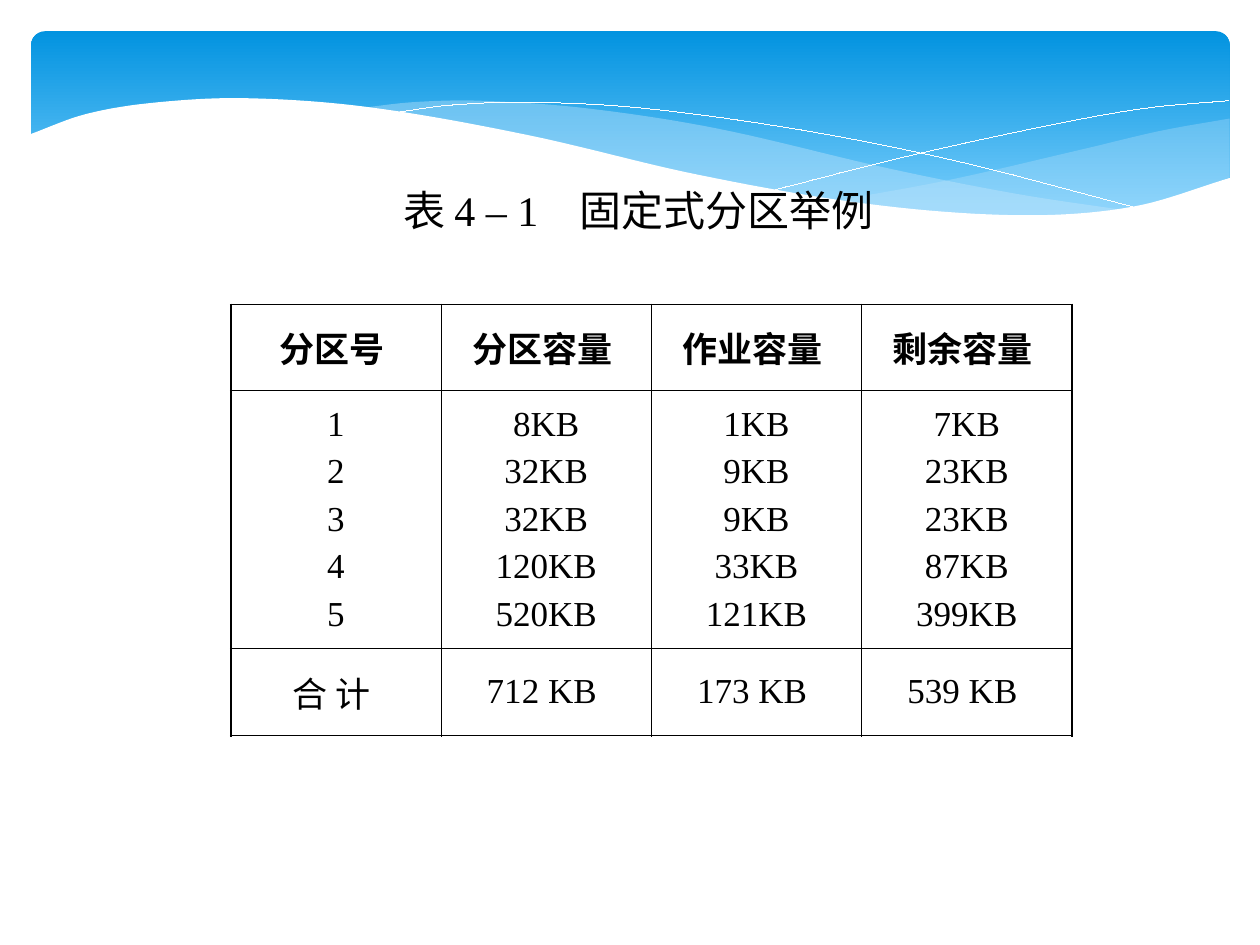
from dataclasses import dataclass

from lxml import etree
from pptx import Presentation
from pptx.dml.color import RGBColor
from pptx.enum.shapes import MSO_SHAPE
from pptx.enum.text import MSO_ANCHOR, MSO_AUTO_SIZE, PP_ALIGN
from pptx.oxml.ns import qn
from pptx.util import Cm, Pt

ROUNDED = MSO_SHAPE.ROUNDED_RECTANGLE
TOP, MIDDLE = MSO_ANCHOR.TOP, MSO_ANCHOR.MIDDLE
GROW = MSO_AUTO_SIZE.SHAPE_TO_FIT_TEXT
LEFT, CENTER = PP_ALIGN.LEFT, PP_ALIGN.CENTER

STEPS_PER_SPAN = 10
WAVE_BASE = 5.69

RIGHT_CREST = [(16.79, 4.06), (19.13, 3.63), (21.87, 3), (23.39, 2.64), (24.79, 2.39)]
RIGHT_TROUGH = [(16.79, 4.06), (18.24, 4.24), (20.4, 4.37), (21.92, 4.32), (23.39, 4.06),
                (24.79, 3.58)]
MIDDLE_CREST = [(7.26, 2.18), (8.33, 2.06), (9.65, 2.03), (11.79, 2.18), (14.45, 2.59),
                (17.93, 3.4), (20.5, 3.91), (22.68, 4.24)]
MIDDLE_TROUGH = [(7.26, 2.18), (9.73, 2.57), (13.46, 3.43), (16.51, 4.01), (19, 4.32),
                 (20.78, 4.39), (22.68, 4.24)]
FALLING_LINE = [(7.85, 2.29), (8.97, 2.13), (10.57, 2.06), (12.95, 2.18), (16.15, 2.62),
                (19.3, 3.25), (23.04, 4.22)]
RISING_LINE = [(15.57, 3.84), (18.29, 3.15), (21.23, 2.51), (23.11, 2.18), (24.77, 2.03)]
WHITE_CREST = [(0.58, 2.72), (1.7, 2.31), (3.02, 2.08), (4.9, 1.98), (7.42, 2.16),
               (10.62, 2.72), (14.1, 3.53), (17.48, 4.11), (20.55, 4.34), (22.83, 4.17),
               (24.82, 3.58)]

PARTITION_KB = [8, 32, 32, 120, 520]
JOB_KB = [1, 9, 9, 33, 121]
FREE_KB = [partition - job for partition, job in zip(PARTITION_KB, JOB_KB)]


@dataclass(frozen=True)
class Theme:
    """Colours, font, type sizes and rule weights of the deck."""

    ink: RGBColor = RGBColor(0, 0, 0)
    paper: RGBColor = RGBColor(255, 255, 255)
    sky: RGBColor = RGBColor(0x02, 0x93, 0xE0)
    horizon: RGBColor = RGBColor(0x83, 0xD3, 0xFE)
    mist: RGBColor = RGBColor(0xC6, 0xE7, 0xFC)
    font: str = "Times New Roman"
    title_size: Pt = Pt(24)
    cell_size: Pt = Pt(20)
    line_gap: Pt = Pt(5)
    outer_rule: Pt = Pt(1.08)
    inner_rule: Pt = Pt(0.45)
    hairline: Pt = Pt(0.01)


def apply(target, values):
    """Set every attribute named in values on target."""
    for name, value in values.items():
        setattr(target, name, value)


def smooth_curve(knots):
    """Return points of a cubic Hermite curve through knots ordered by x."""
    neighbours = zip(knots[:1] + knots[:-1], knots[1:] + knots[-1:])
    slopes = [(y1 - y0) / (x1 - x0) for (x0, y0), (x1, y1) in neighbours]
    points = [knots[0]]
    for (x0, y0), (x1, y1), m0, m1 in zip(knots, knots[1:], slopes, slopes[1:]):
        span = x1 - x0
        for step in range(1, STEPS_PER_SPAN + 1):
            t = step / STEPS_PER_SPAN
            blend = t * t * (3 - 2 * t)
            bend = t * (1 - t) * (m0 * (1 - t) - m1 * t)
            points.append((x0 + span * t, y0 + (y1 - y0) * blend + span * bend))
    return points


def kb_column(heading, sizes):
    """Return heading, sizes and their total as one table column."""
    return f"{heading} ", [f"{size}KB" for size in sizes], f"{sum(sizes)} KB "


class SlideBuilder:
    """Draws styled elements on one slide."""

    def __init__(self, slide, theme):
        """Keep the slide and its theme."""
        self.slide = slide
        self.theme = theme

    def format_font(self, paragraph, size, bold=False):
        """Apply the deck font to a paragraph."""
        apply(paragraph.font, {"name": self.theme.font, "size": size, "bold": bold})
        paragraph.font.color.rgb = self.theme.ink

    def banner(self, left, top, width, height):
        """Draw the rounded sky band."""
        band = self.slide.shapes.add_shape(ROUNDED, left, top, width, height)
        band.adjustments[0] = 0.07
        band.shadow.inherit = False
        band.line.fill.background()
        band.fill.gradient()
        band.fill.gradient_angle = 270
        for stop, color in zip(band.fill.gradient_stops, (self.theme.sky, self.theme.horizon)):
            stop.color.rgb = color

    def outline(self, points, closed):
        """Build a freeform through points given in centimetres."""
        start, *rest = [(Cm(x), Cm(y)) for x, y in points]
        builder = self.slide.shapes.build_freeform(*start)
        builder.add_line_segments(rest, close=closed)
        curve = builder.convert_to_shape()
        curve.shadow.inherit = False
        return curve

    def swell(self, crest, lower_edge, color, opacity=100):
        """Fill the area between a crest and a lower edge, both from left to right."""
        wave = self.outline(smooth_curve(crest) + lower_edge[::-1], True)
        wave.line.fill.background()
        wave.fill.solid()
        wave.fill.fore_color.rgb = color
        if opacity < 100:
            tint = wave.element.spPr.find(".//" + qn("a:srgbClr"))
            etree.SubElement(tint, qn("a:alpha"), val=str(opacity * 1000))

    def hairline(self, knots):
        """Draw a thin open curve."""
        curve = self.outline(smooth_curve(knots), False)
        curve.fill.background()
        curve.line.color.rgb = self.theme.paper
        curve.line.width = self.theme.hairline

    def title(self, text, left, top, width, height, tab):
        """Place the title above the waves with one tab stop."""
        heading = self.slide.shapes.title
        heading.element.getparent().append(heading.element)
        apply(heading, {"left": left, "top": top, "width": width, "height": height})
        frame = heading.text_frame
        apply(frame, {"text": text, "word_wrap": False, "auto_size": GROW,
                      "vertical_anchor": TOP})
        paragraph = frame.paragraphs[0]
        paragraph.alignment = LEFT
        stops = etree.SubElement(paragraph._p.get_or_add_pPr(), qn("a:tabLst"))
        etree.SubElement(stops, qn("a:tab"), pos=str(tab), algn="l")
        self.format_font(paragraph, self.theme.title_size)

    def border(self, cell, is_outer):
        """Rule the four sides of a cell, heavier on the outside."""
        properties = cell._tc.get_or_add_tcPr()
        for side, outer in is_outer.items():
            weight = self.theme.outer_rule if outer else self.theme.inner_rule
            rule = etree.SubElement(properties, qn(f"a:ln{side}"), w=str(weight))
            ink = etree.SubElement(rule, qn("a:solidFill"))
            etree.SubElement(ink, qn("a:srgbClr"), val=str(self.theme.ink))

    def fill_cell(self, cell, lines, bold):
        """Write centred lines into a cell."""
        cell.fill.background()
        apply(cell, {"vertical_anchor": MIDDLE, "text": "\n".join(lines)})
        for index, paragraph in enumerate(cell.text_frame.paragraphs):
            gap = self.theme.line_gap if index else 0
            apply(paragraph, {"alignment": CENTER, "space_before": gap})
            self.format_font(paragraph, self.theme.cell_size, bold)

    def table(self, columns, left, top, column_width, heights):
        """Draw a ruled table from (heading, values, total) columns."""
        last_row, last_column = len(heights) - 1, len(columns) - 1
        grid = self.slide.shapes.add_table(
            len(heights), len(columns), left, top,
            column_width * len(columns), sum(heights)).table
        apply(grid, {"first_row": False, "horz_banding": False})
        for row, height in zip(grid.rows, heights):
            row.height = height
        for c, (heading, values, total) in enumerate(columns):
            grid.columns[c].width = column_width
            for r, lines in enumerate(([heading], values, [total])):
                cell = grid.cell(r, c)
                self.border(cell, {"L": c == 0, "R": c == last_column,
                                   "T": r == 0, "B": r == last_row})
                self.fill_cell(cell, lines, bold=r == 0)


def main():
    """Build and save the slide."""
    deck = Presentation()
    apply(deck, {"slide_width": Cm(25.4), "slide_height": Cm(19.05)})
    theme = Theme()
    page = SlideBuilder(deck.slides.add_slide(deck.slide_layouts[5]), theme)

    page.banner(Cm(0.63), Cm(0.63), Cm(24.16), Cm(3.96))
    page.swell(RIGHT_CREST, smooth_curve(RIGHT_TROUGH), theme.mist, opacity=29)
    page.swell(MIDDLE_CREST, smooth_curve(MIDDLE_TROUGH), theme.mist, opacity=40)
    for knots in (FALLING_LINE, RISING_LINE):
        page.hairline(knots)
    wave_ends = WHITE_CREST[0], WHITE_CREST[-1]
    page.swell(WHITE_CREST, [(x, WAVE_BASE) for x, _ in wave_ends], theme.paper)

    page.title("表 4 – 1\t固定式分区举例", Cm(7.87), Cm(3.59), Cm(10.19), Cm(1.27), tab=Cm(3.56))
    numbers = [str(number) for number in range(1, len(PARTITION_KB) + 1)]
    columns = [("分区号 ", numbers, "合 计 "), kb_column("分区容量", PARTITION_KB),
               kb_column("作业容量", JOB_KB), kb_column("剩余容量", FREE_KB)]
    page.table(columns, Cm(4.65), Cm(6.14), Cm(4.24), [Cm(1.73), Cm(5.2), Cm(1.76)])
    deck.save("out.pptx")


if __name__ == "__main__":
    main()
